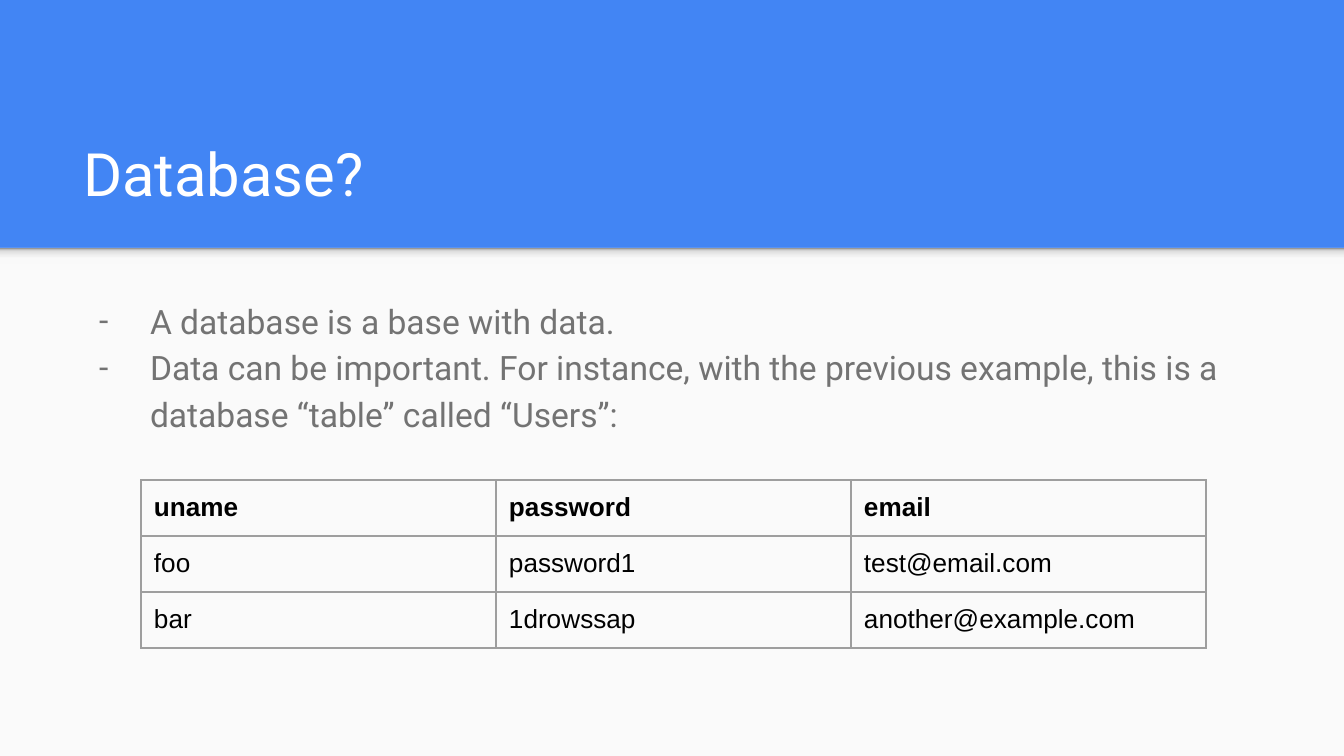
import copy
import dataclasses

import lxml.etree
import pptx
import pptx.dml.color
import pptx.enum.dml
import pptx.enum.shapes
import pptx.enum.text
import pptx.oxml.ns
import pptx.util

EMU_PER_PIXEL = 9144000 / 1344


@dataclasses.dataclass(frozen=True)
class Theme:
    blue: str = "4285F4"
    paper: str = "FAFAFA"
    white: str = "FFFFFF"
    gray: str = "737373"
    black: str = "000000"
    border: str = "9E9E9E"
    shade: tuple = ((0, "F9F9F9"), (0.36, "F9F9F9"), (0.8, "DEDEDE"), (1, "999999"))
    font: str = "Roboto"
    table_font: str = "Arial"
    title_size: int = 32
    body_size: int = 18
    table_size: int = 14
    border_width: float = 0.75


@dataclasses.dataclass(frozen=True)
class Box:
    left: int
    top: int
    width: int
    height: int


@dataclasses.dataclass(frozen=True)
class TextStyle:
    font: str
    size: int
    color: str
    bold: bool = False


THEME = Theme()
TITLE_STYLE = TextStyle(THEME.font, THEME.title_size, THEME.white)
BODY_STYLE = TextStyle(THEME.font, THEME.body_size, THEME.gray)
CELL_STYLE = TextStyle(THEME.table_font, THEME.table_size, THEME.black)
HEADER_STYLE = dataclasses.replace(CELL_STYLE, bold=True)

PAGE = Box(0, 0, 1344, 756)
PANEL = Box(0, 248, 1344, 508)
PANEL_SHADE = Box(0, 248, 1344, 16)
TITLE = Box(70, 109, 1208, 113)
BODY = Box(70, 282, 1208, 398)
TABLE = Box(141, 480, 1065, 168)
INSET = 13
BULLET_MARGIN, BULLET_INDENT = 67, -51

BULLETS = (
    "A database is a base with data.",
    "Data can be important. For instance, with the previous example, "
    "this is a database “table” called “Users”:",
)
USERS = (
    ("uname", "password", "email"),
    ("foo", "password1", "test@email.com"),
    ("bar", "1drowssap", "another@example.com"),
)


def emu(pixels: int) -> int:
    return round(pixels * EMU_PER_PIXEL)


def bounds(box: Box) -> tuple:
    return tuple(emu(value) for value in dataclasses.astuple(box))


def rgb(color: str) -> pptx.dml.color.RGBColor:
    return pptx.dml.color.RGBColor.from_string(color)


def add_child(parent, tag: str, **attributes: str):
    return lxml.etree.SubElement(parent, pptx.oxml.ns.qn(tag), attributes)


def add_run(paragraph, text: str, style: TextStyle) -> None:
    run = paragraph.add_run()
    run.text = text
    run.font.name = style.font
    run.font.size = pptx.util.Pt(style.size)
    run.font.bold = style.bold
    run.font.color.rgb = rgb(style.color)


def set_insets(target) -> None:
    target.margin_left = target.margin_right = emu(INSET)
    target.margin_top = target.margin_bottom = emu(INSET)


def add_rectangle(slide, box: Box):
    shape = slide.shapes.add_shape(pptx.enum.shapes.MSO_SHAPE.RECTANGLE, *bounds(box))
    shape.shadow.inherit = False
    shape.line.fill.background()
    return shape


def fill_gradient(shape, stops: tuple) -> None:
    shape.fill.gradient()
    shape.fill.gradient_angle = 90
    stop_list = shape.element.spPr.find(".//" + pptx.oxml.ns.qn("a:gsLst"))
    while len(stop_list) < len(stops):
        stop_list.append(copy.deepcopy(stop_list[0]))
    for stop, (position, color) in zip(shape.fill.gradient_stops, stops):
        stop.position = position
        stop.color.rgb = rgb(color)


def place_placeholder(slide, shape, box: Box, anchor):
    """Position a placeholder in front of the background and return its text frame."""
    slide.shapes.element.append(shape.element)
    shape.left, shape.top, shape.width, shape.height = bounds(box)
    frame = shape.text_frame
    frame.word_wrap = True
    frame.auto_size = pptx.enum.text.MSO_AUTO_SIZE.NONE
    frame.vertical_anchor = anchor
    set_insets(frame)
    return frame


def add_bullet(paragraph, text: str) -> None:
    paragraph.line_spacing = 1.15
    paragraph.space_before = paragraph.space_after = pptx.util.Pt(0)
    properties = paragraph._p.get_or_add_pPr()
    properties.set("marL", str(emu(BULLET_MARGIN)))
    properties.set("indent", str(emu(BULLET_INDENT)))
    bullet_color = add_child(properties, "a:buClr")
    add_child(bullet_color, "a:srgbClr", val=THEME.gray)
    add_child(properties, "a:buFont", typeface=THEME.font)
    add_child(properties, "a:buChar", char="-")
    add_run(paragraph, text, BODY_STYLE)


def set_borders(cell) -> None:
    properties = cell._tc.get_or_add_tcPr()
    for index, side in enumerate(("a:lnL", "a:lnR", "a:lnT", "a:lnB")):
        line = lxml.etree.Element(
            pptx.oxml.ns.qn(side), w=str(pptx.util.Pt(THEME.border_width))
        )
        fill = add_child(line, "a:solidFill")
        add_child(fill, "a:srgbClr", val=THEME.border)
        properties.insert(index, line)


def add_table(slide, box: Box, rows: tuple) -> None:
    column_count = len(rows[0])
    table = slide.shapes.add_table(len(rows), column_count, *bounds(box)).table
    table.first_row = table.horz_banding = False
    for column in table.columns:
        column.width = emu(box.width // column_count)
    for row_index, values in enumerate(rows):
        table.rows[row_index].height = emu(box.height // len(rows))
        for column_index, text in enumerate(values):
            cell = table.cell(row_index, column_index)
            cell.fill.background()
            set_insets(cell)
            set_borders(cell)
            style = CELL_STYLE if row_index else HEADER_STYLE
            add_run(cell.text_frame.paragraphs[0], text, style)


presentation = pptx.Presentation()
presentation.slide_width, presentation.slide_height = emu(PAGE.width), emu(PAGE.height)
slide = presentation.slides.add_slide(presentation.slide_layouts[1])

# Background, light panel and the shade along its top edge
slide.background.fill.solid()
slide.background.fill.fore_color.rgb = rgb(THEME.blue)
panel = add_rectangle(slide, PANEL)
panel.fill.solid()
panel.fill.fore_color.rgb = rgb(THEME.paper)
fill_gradient(add_rectangle(slide, PANEL_SHADE), THEME.shade)

# Title
anchors = pptx.enum.text.MSO_ANCHOR
title_frame = place_placeholder(slide, slide.shapes.title, TITLE, anchors.BOTTOM)
title_frame.paragraphs[0].alignment = pptx.enum.text.PP_ALIGN.LEFT
add_run(title_frame.paragraphs[0], "Database?", TITLE_STYLE)

# Bulleted list
body_frame = place_placeholder(slide, slide.placeholders[1], BODY, anchors.TOP)
for index, text in enumerate(BULLETS):
    add_bullet(body_frame.add_paragraph() if index else body_frame.paragraphs[0], text)

# Users table
add_table(slide, TABLE, USERS)

presentation.save("out.pptx")
